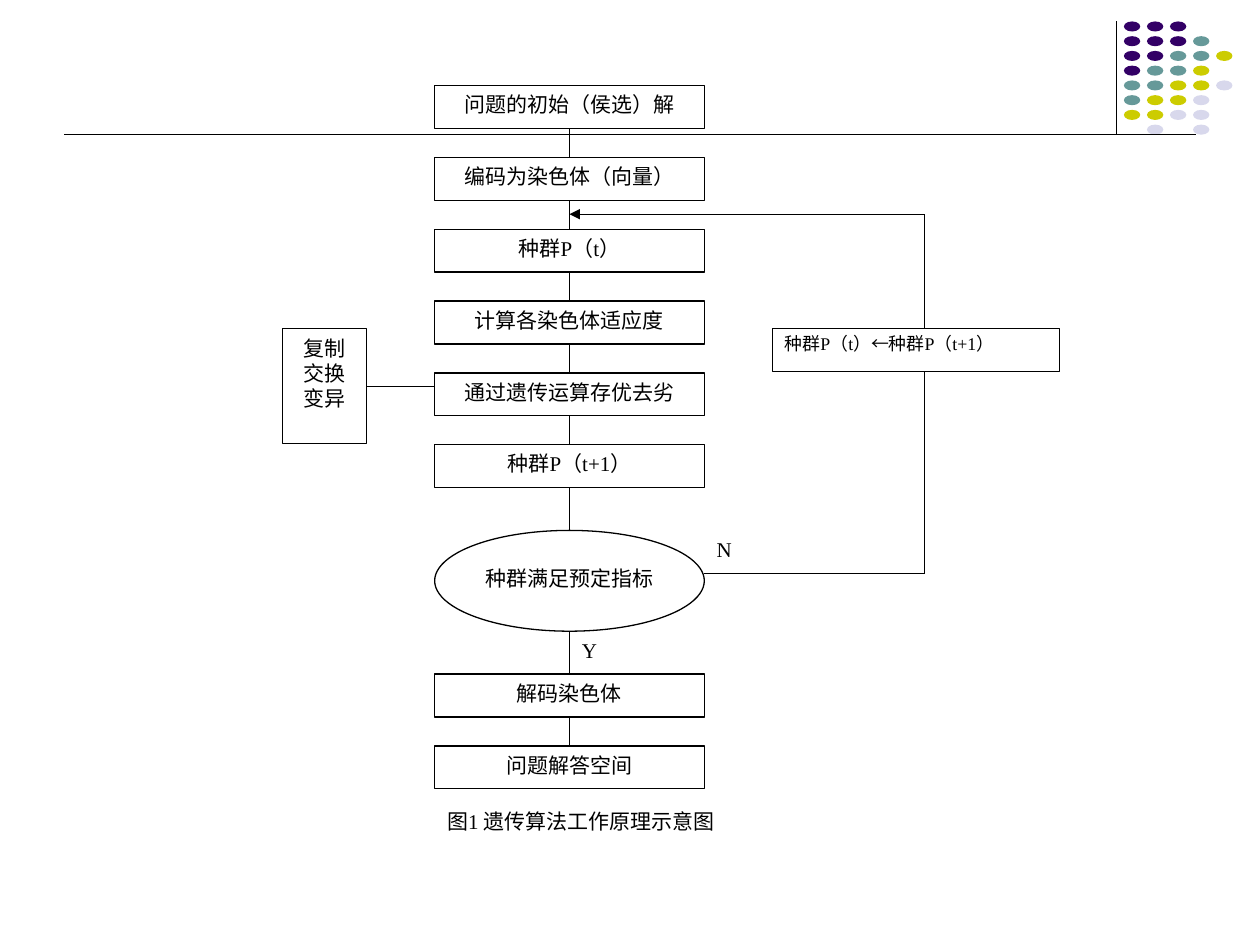
from lxml.etree import SubElement
from pptx import Presentation
from pptx.dml.color import RGBColor
from pptx.enum.shapes import MSO_CONNECTOR, MSO_SHAPE
from pptx.enum.text import MSO_ANCHOR, PP_ALIGN
from pptx.oxml.ns import qn
from pptx.util import Inches, Pt

THEME = {
    "ink": "000000", "paper": "FFFFFF", "line": 0.75,
    "serif": "Times New Roman", "sans": "Arial", "body": 12, "small": 10.2,
    "dots": {"P": "330066", "T": "669999", "Y": "CCCC00", "L": "D8D8EC"},
}

# Each letter is a dot colour, a space is an empty cell
DOT_ROWS = ["PPP", "PPPT", "PPTTY", "PTTY", "TTYYL", "TYYL", "YYLL", " L L"]
STEPS_BEFORE = ["问题的初始（侯选）解", "编码为染色体（向量）", "种群P（t）",
                "计算各染色体适应度", "通过遗传运算存优去劣", "种群P（t+1）"]
DECISION = "种群满足预定指标"
STEPS_AFTER = ["解码染色体", "问题解答空间"]
OPERATORS = ["复制", "交换", "变异"]
UPDATE = [("种群P（t）", THEME["serif"]), ("←", THEME["sans"]),
          ("种群P（t+1）", THEME["serif"])]
CAPTION = "图1 遗传算法工作原理示意图"

# Flow column, in inches
LEFT, WIDTH, HEIGHT, PITCH = 3.45, 2.14, 0.34, 0.57
CENTER, RIGHT = LEFT + WIDTH / 2, LEFT + WIDTH
TOP_BEFORE, TOP_AFTER = 0.68, 5.35
DECISION_TOP, DECISION_HEIGHT = 4.21, 0.8
LOOP_X, LOOP_TOP, LOOP_BOTTOM = 7.34, 1.7, 4.55
SIDE_TOP, SIDE_HEIGHT = 2.61, 0.91

prs = Presentation()
prs.slide_width, prs.slide_height = Inches(10), Inches(7.5)
slide = prs.slides.add_slide(prs.slide_layouts[6])


def color(name):
    return RGBColor.from_string(name)


def write(shape, paragraphs, align=PP_ALIGN.CENTER, size=THEME["body"], spacing=None):
    """Fill a shape with paragraphs, each a list of (text, font) runs."""
    frame = shape.text_frame
    frame.word_wrap = True
    frame.vertical_anchor = MSO_ANCHOR.TOP
    for index, runs in enumerate(paragraphs):
        paragraph = frame.add_paragraph() if index else frame.paragraphs[0]
        paragraph.alignment = align
        if spacing:
            paragraph.line_spacing = spacing
        for text, font in runs:
            run = paragraph.add_run()
            run.text = text
            run.font.name = font
            run.font.size = Pt(size)
            run.font.color.rgb = color(THEME["ink"])


def plain(text):
    return [(text, THEME["serif"])]


def add_figure(kind, left, top, width, height, fill=THEME["paper"], outlined=True):
    shape = slide.shapes.add_shape(kind, *map(Inches, (left, top, width, height)))
    shape.shadow.inherit = False
    shape.fill.solid()
    shape.fill.fore_color.rgb = color(fill)
    if outlined:
        shape.line.color.rgb = color(THEME["ink"])
        shape.line.width = Pt(THEME["line"])
    else:
        shape.line.fill.background()
    return shape


def add_line(x1, y1, x2, y2, arrow=False):
    line = slide.shapes.add_connector(
        MSO_CONNECTOR.STRAIGHT, *map(Inches, (x1, y1, x2, y2)))
    line.line.color.rgb = color(THEME["ink"])
    line.line.width = Pt(THEME["line"])
    if arrow:
        SubElement(line.line._get_or_add_ln(), qn("a:tailEnd"), type="triangle")
    SubElement(line._element.spPr, qn("a:effectLst"))
    return line


def add_label(text, left, top, width):
    label = slide.shapes.add_textbox(*map(Inches, (left, top, width, HEIGHT)))
    write(label, [plain(text)], PP_ALIGN.JUSTIFY)


def add_steps(texts, top):
    """Stack equal boxes and join each to the next."""
    boxes = []
    for row, text in enumerate(texts):
        y = top + row * PITCH
        box = add_figure(MSO_SHAPE.RECTANGLE, LEFT, y, WIDTH, HEIGHT)
        write(box, [plain(text)])
        if boxes:
            link = add_line(CENTER, y - PITCH + HEIGHT, CENTER, y)
            link.begin_connect(boxes[-1], 2)
            link.end_connect(box, 0)
        boxes.append(box)
    return boxes


# Corner decoration
add_line(8.86, 0.17, 8.86, 1.07)
for row, letters in enumerate(DOT_ROWS):
    for column, letter in enumerate(letters):
        if letter != " ":
            add_figure(MSO_SHAPE.OVAL, 8.92 + column * 0.183, 0.17 + row * 0.117,
                       0.13, 0.08, THEME["dots"][letter], outlined=False)
add_line(0.51, 1.07, 9.49, 1.07)

# Main flow
before = add_steps(STEPS_BEFORE, TOP_BEFORE)
decision = add_figure(MSO_SHAPE.OVAL, LEFT, DECISION_TOP, WIDTH, DECISION_HEIGHT)
question = add_figure(MSO_SHAPE.RECTANGLE, 3.59, 4.44, 1.86, HEIGHT, outlined=False)
write(question, [plain(DECISION)])
after = add_steps(STEPS_AFTER, TOP_AFTER)

into_decision = add_line(CENTER, DECISION_TOP - HEIGHT, CENTER, DECISION_TOP)
into_decision.begin_connect(before[-1], 2)
into_decision.end_connect(decision, 0)
yes_branch = add_line(CENTER, DECISION_TOP + DECISION_HEIGHT, CENTER, TOP_AFTER)
yes_branch.end_connect(after[0], 0)

# Genetic operators beside the flow
operators = add_figure(MSO_SHAPE.RECTANGLE, 2.24, SIDE_TOP, 0.67, SIDE_HEIGHT)
write(operators, [plain(name) for name in OPERATORS])
side_y = SIDE_TOP + SIDE_HEIGHT / 2
add_line(2.91, side_y, LEFT, side_y).begin_connect(operators, 3)

# Loop back to the population
update = add_figure(MSO_SHAPE.RECTANGLE, 6.13, SIDE_TOP, 2.28, HEIGHT)
write(update, [UPDATE], PP_ALIGN.JUSTIFY, THEME["small"], 0.9)
add_line(RIGHT, LOOP_BOTTOM, LOOP_X, LOOP_BOTTOM)
add_line(LOOP_X, SIDE_TOP + HEIGHT, LOOP_X, LOOP_BOTTOM)
add_line(LOOP_X, SIDE_TOP, LOOP_X, LOOP_TOP)
add_line(LOOP_X, LOOP_TOP, CENTER, LOOP_TOP, arrow=True)

add_label("Y", CENTER, DECISION_TOP + DECISION_HEIGHT, 0.4)
add_label("N", RIGHT, DECISION_TOP, 0.4)
add_label(CAPTION, LEFT, 6.37, 2.68)

prs.save("out.pptx")
